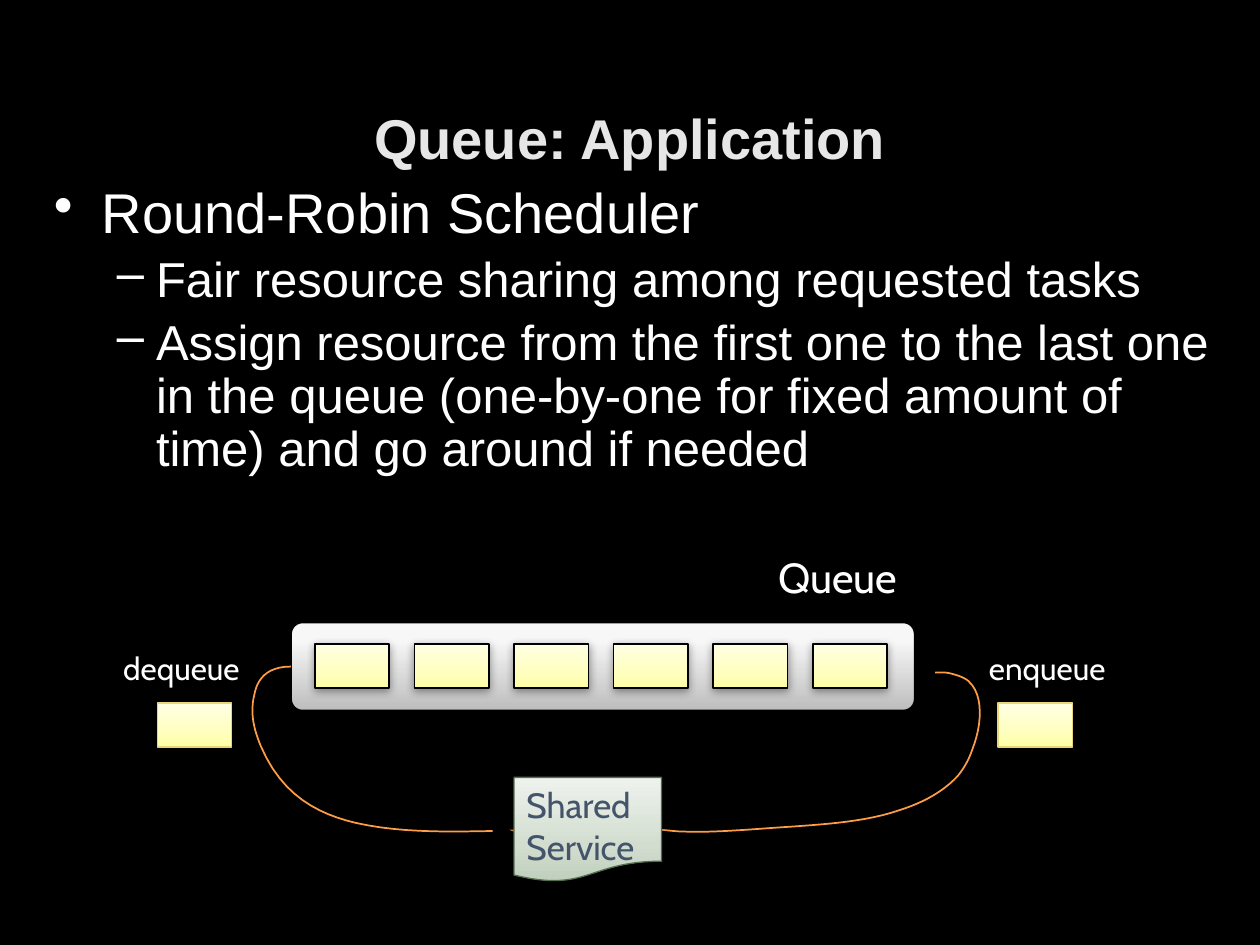
"""Build the round-robin scheduler slide with its queue diagram."""
import copy

import pptx
import pptx.dml.color
import pptx.enum.shapes
import pptx.enum.text
import pptx.oxml
import pptx.oxml.ns
import pptx.util
from pptx.util import Inches

RGBColor = pptx.dml.color.RGBColor
SHAPE = pptx.enum.shapes.MSO_SHAPE
ANCHOR = pptx.enum.text.MSO_ANCHOR
ALIGN = pptx.enum.text.PP_ALIGN
qn = pptx.oxml.ns.qn

BLACK = RGBColor(0x00, 0x00, 0x00)
WHITE = RGBColor(0xFF, 0xFF, 0xFF)
TITLE_GRAY = RGBColor(0xE7, 0xE6, 0xE6)
ORANGE = RGBColor(0xFE, 0x9D, 0x45)
CARD_LINE = RGBColor(0xE9, 0xD5, 0x7C)
SERVICE_LINE = RGBColor(0x54, 0x6E, 0x4F)
SERVICE_TEXT = RGBColor(0x44, 0x54, 0x6A)
QUEUE_STOPS = [(0, RGBColor(0xBD, 0xBD, 0xBD)), (0.8, RGBColor(0xF7, 0xF7, 0xF7)),
               (1, RGBColor(0xF8, 0xF8, 0xF8))]
CARD_STOPS = [(0, RGBColor(0xFF, 0xFF, 0xA5)), (0.35, RGBColor(0xFF, 0xFF, 0xBF)),
              (1, RGBColor(0xFF, 0xFF, 0xE4))]
SERVICE_STOPS = [(0, RGBColor(0xBF, 0xCF, 0xBC)), (0.35, RGBColor(0xD2, 0xDD, 0xD0)),
                 (1, RGBColor(0xEE, 0xF2, 0xED))]

TITLE = "Queue: Application"
BULLETS = [
    (0, "Round-Robin Scheduler"),
    (1, "Fair resource sharing among requested tasks"),
    (1, "Assign resource from the first one to the last one in the queue "
        "(one-by-one for fixed amount of time) and go around if needed"),
]
BULLET_STYLES = [("•", 32, 0.38, -0.38, 0), ("–", 28, 0.81, -0.31, 5.6)]
LABELS = [
    ("Queue", (6.08, 4.33, 1.17, 0.51), 24, ALIGN.LEFT),
    ("enqueue", (7.75, 5.1, 2.08, 0.4), 18, ALIGN.LEFT),
    ("dequeue", (0.17, 5.1, 1.83, 0.4), 18, ALIGN.RIGHT),
]
QUEUE_BOX = (2.31, 4.94, 4.95, 0.7)
CARD_SIZE = (0.59, 0.35)
CARD_COUNT, CARD_LEFT, CARD_STEP, CARD_TOP = 6, 2.5, 0.79, 5.11
OUTSIDE_CARDS = [(1.25, 5.58), (7.92, 5.58)]
SERVICE_BOX = (4.08, 6.17, 1.17, 0.83)
DEQUEUE_CURVE = [
    (2.31, 5.29), (2.11, 5.29), (2.04, 5.4), (2.02, 5.51), (1.98, 5.66), (2.02, 5.8),
    (2.07, 5.92), (2.24, 6.32), (2.53, 6.46), (2.82, 6.53), (3.22, 6.62), (3.63, 6.6),
    (4.16, 6.59),
]
ENQUEUE_CURVE = [
    (5.19, 6.58), (5.38, 6.6), (5.4, 6.6), (5.42, 6.6), (5.69, 6.61), (5.97, 6.58),
    (6.3, 6.56), (6.57, 6.54), (6.88, 6.52), (7.14, 6.43), (7.33, 6.37), (7.49, 6.28),
    (7.6, 6.16), (7.65, 6.1), (7.69, 6.03), (7.72, 5.94), (7.79, 5.76), (7.81, 5.52),
    (7.69, 5.41), (7.66, 5.38), (7.6, 5.36), (7.56, 5.35), (7.5, 5.33), (7.45, 5.34),
    (7.37, 5.34),
]
CURVE_STEPS = 12
SERVICE_ARROWHEAD = [(4.15, 6.55), (4.27, 6.58), (4.15, 6.62)]
QUEUE_ARROWHEAD = [(7.42, 5.42), (7.26, 5.33), (7.42, 5.25)]
FRONT_ARROWHEAD = [(3.91, 6.68), (4.07, 6.6), (3.91, 6.52)]


def set_font(paragraph, name, size, color, bold=False):
    font = paragraph.font
    font.name, font.size, font.bold = name, pptx.util.Pt(size), bold
    font.color.rgb = color


def add_text(slide, box, text, name, size, color, align, bold=False):
    shape = slide.shapes.add_textbox(*map(Inches, box))
    shape.text_frame.word_wrap = True
    paragraph = shape.text_frame.paragraphs[0]
    paragraph.text, paragraph.alignment = text, align
    set_font(paragraph, name, size, color, bold)
    return shape


def add_bullets(slide):
    frame = slide.shapes.add_textbox(*map(Inches, (0.33, 1.42, 9.42, 2.83))).text_frame
    frame.word_wrap = True
    for index, (level, text) in enumerate(BULLETS):
        mark, size, margin, indent, space = BULLET_STYLES[level]
        paragraph = frame.add_paragraph() if index else frame.paragraphs[0]
        paragraph.text, paragraph.level, paragraph.line_spacing = text, level, 0.9
        paragraph.space_before = pptx.util.Pt(space)
        set_font(paragraph, "Arial", size, WHITE)
        properties = paragraph._p.get_or_add_pPr()
        properties.set("marL", str(Inches(margin)))
        properties.set("indent", str(Inches(indent)))
        bullet = properties.makeelement(qn("a:buChar"), {"char": mark})
        properties.find(qn("a:defRPr")).addprevious(bullet)


def add_shaded(slide, kind, box, stops, line_color, line_width=0.75, shadow_alpha=38, shadow_distance=1.6):
    shape = slide.shapes.add_shape(kind, *map(Inches, box))
    shape.fill.gradient()
    shape.fill.gradient_angle = 90
    stop_list = shape._element.spPr.find(".//" + qn("a:gsLst"))
    stop_list.append(copy.deepcopy(stop_list[-1]))
    for stop, (position, color) in zip(shape.fill.gradient_stops, stops):
        stop.position, stop.color.rgb = position, color
    shape.line.color.rgb, shape.line.width = line_color, pptx.util.Pt(line_width)
    shape.shadow.inherit = False
    effects = shape._element.spPr.find(qn("a:effectLst"))
    effects.append(pptx.oxml.parse_xml(
        f'<a:outerShdw {pptx.oxml.ns.nsdecls("a")} blurRad="{pptx.util.Pt(5)}" '
        f'dist="{pptx.util.Pt(shadow_distance)}" dir="5400000" rotWithShape="0">'
        f'<a:srgbClr val="{BLACK}"><a:alpha val="{shadow_alpha * 1000}"/></a:srgbClr></a:outerShdw>'))
    return shape


def add_card(slide, left, top, line_color, line_width=0.75):
    add_shaded(slide, SHAPE.RECTANGLE, (left, top, *CARD_SIZE), CARD_STOPS, line_color, line_width)


def bezier_points(controls):
    points = [controls[0]]
    for start in range(0, len(controls) - 1, 3):
        for step in range(1, CURVE_STEPS + 1):
            t = step / CURVE_STEPS
            weights = ((1 - t) ** 3, 3 * t * (1 - t) ** 2, 3 * t * t * (1 - t), t ** 3)
            segment = controls[start:start + 4]
            points.append(tuple(sum(w * p[axis] for w, p in zip(weights, segment)) for axis in (0, 1)))
    return points


def add_outline(slide, points, close):
    first, *rest = [(Inches(x), Inches(y)) for x, y in points]
    builder = slide.shapes.build_freeform(*first)
    builder.add_line_segments(rest, close=close)
    shape = builder.convert_to_shape()
    shape.shadow.inherit = False
    return shape


def add_curve(slide, controls):
    shape = add_outline(slide, bezier_points(controls), False)
    shape.fill.background()
    shape.line.color.rgb, shape.line.width = ORANGE, pptx.util.Pt(1)


def add_arrowhead(slide, points):
    shape = add_outline(slide, points, True)
    shape.fill.solid()
    shape.fill.fore_color.rgb = BLACK
    shape.line.fill.background()


def add_service(slide):
    shape = add_shaded(slide, SHAPE.FLOWCHART_DOCUMENT, SERVICE_BOX, SERVICE_STOPS, SERVICE_LINE)
    shape.text_frame.vertical_anchor = ANCHOR.TOP
    paragraph = shape.text_frame.paragraphs[0]
    paragraph.text, paragraph.alignment = "Shared \vService", ALIGN.LEFT
    set_font(paragraph, "Cabin", 20, SERVICE_TEXT)


def main():
    presentation = pptx.Presentation()
    presentation.slide_width, presentation.slide_height = Inches(10), Inches(7.5)
    slide = presentation.slides.add_slide(presentation.slide_layouts[6])
    slide.background.fill.solid()
    slide.background.fill.fore_color.rgb = BLACK

    title = add_text(slide, (0.69, 0.4, 8.62, 1.45), TITLE, "Arial", 32, TITLE_GRAY, ALIGN.CENTER, True)
    title.text_frame.vertical_anchor = ANCHOR.MIDDLE
    title.text_frame.paragraphs[0].line_spacing = 0.9
    add_bullets(slide)

    queue = add_shaded(slide, SHAPE.ROUNDED_RECTANGLE, QUEUE_BOX, QUEUE_STOPS, BLACK, 1, 35, 1.8)
    queue.adjustments[0] = 0.13
    for index in range(CARD_COUNT):
        add_card(slide, CARD_LEFT + index * CARD_STEP, CARD_TOP, BLACK, 1)

    add_curve(slide, DEQUEUE_CURVE)
    add_arrowhead(slide, SERVICE_ARROWHEAD)
    add_curve(slide, ENQUEUE_CURVE)
    add_arrowhead(slide, QUEUE_ARROWHEAD)
    add_service(slide)
    for text, box, size, align in LABELS:
        add_text(slide, box, text, "Cabin", size, WHITE, align)
    for left, top in OUTSIDE_CARDS:
        add_card(slide, left, top, CARD_LINE)
    add_arrowhead(slide, FRONT_ARROWHEAD)
    presentation.save("out.pptx")


if __name__ == "__main__":
    main()
